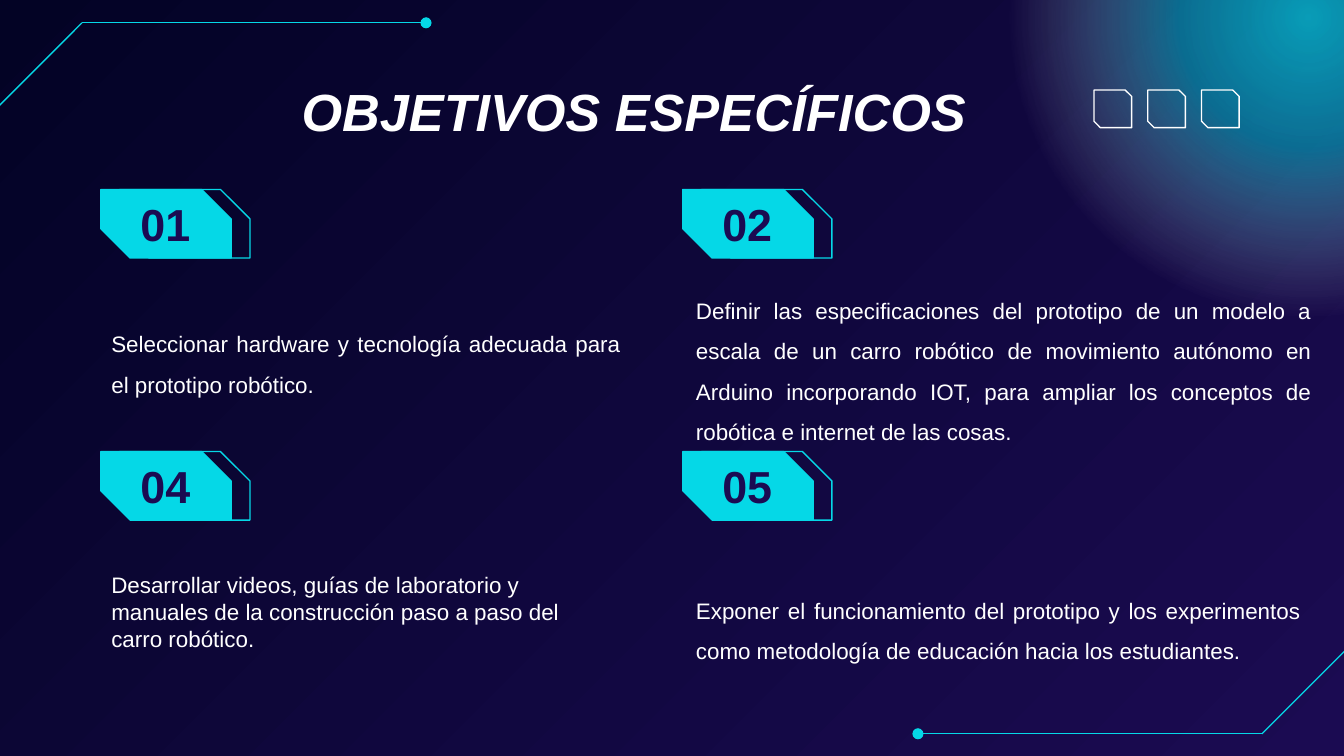
from pptx import Presentation
from pptx.dml.color import RGBColor
from pptx.enum.shapes import MSO_CONNECTOR, MSO_SHAPE
from pptx.enum.text import MSO_ANCHOR, PP_ALIGN
from pptx.oxml import parse_xml
from pptx.oxml.ns import nsdecls, qn
from pptx.oxml.xmlchemy import OxmlElement
from pptx.util import Inches, Pt

SNIP, OVAL = MSO_SHAPE.SNIP_2_DIAG_RECTANGLE, MSO_SHAPE.OVAL
STRAIGHT = MSO_CONNECTOR.STRAIGHT
TOP, MIDDLE = MSO_ANCHOR.TOP, MSO_ANCHOR.MIDDLE
LEFT, CENTER, JUSTIFY = PP_ALIGN.LEFT, PP_ALIGN.CENTER, PP_ALIGN.JUSTIFY

CYAN = RGBColor(0x05, 0xD8, 0xE7)
NIGHT = RGBColor(0x03, 0x03, 0x25)
PURPLE = RGBColor(0x1B, 0x0B, 0x52)
WHITE = RGBColor(0xFF, 0xFF, 0xFF)

FONT = "Arial"
WIDE = 10
HIGH = WIDE * 9 / 16
COLS = (0.75, 5.08)
ROWS = (1.41, 3.36)
SHIFT = 0.14  # step from the solid badge to its outline

# number, column, row, text box, alignment, line spacing, text
GOALS = (
    ("01", 0, 0, (-0.02, 0.85, 3.99, 0.81), JUSTIFY, 1.5,
     "Seleccionar hardware y tecnología adecuada para el prototipo robótico."),
    ("02", 1, 0, (0, 0.6, 4.78, 1.41), JUSTIFY, 1.5,
     "Definir las especificaciones del prototipo de un modelo a escala de un "
     "carro robótico de movimiento autónomo en Arduino incorporando IOT, para "
     "ampliar los conceptos de robótica e internet de las cosas."),
    ("04", 0, 1, (-0.02, 0.79, 3.92, 0.98), LEFT, 1,
     "Desarrollar videos, guías de laboratorio y manuales de la construcción "
     "paso a paso del carro robótico."),
    ("05", 1, 1, (0, 0.88, 4.7, 0.81), JUSTIFY, 1.5,
     "Exponer el funcionamiento del prototipo y los experimentos como "
     "metodología de educación hacia los estudiantes."),
)


def write(shape, text, size, color, align, anchor=TOP, bold=False, italic=False):
    frame = shape.text_frame
    frame.text = text
    frame.word_wrap = True
    frame.vertical_anchor = anchor
    frame.margin_left = frame.margin_right = Inches(0.1)
    frame.margin_top = frame.margin_bottom = Inches(0.1)
    para = frame.paragraphs[0]
    para.alignment = align
    font = para.runs[0].font
    font.name, font.size, font.color.rgb = FONT, Pt(size), color
    font.bold, font.italic = bold, italic
    return para


def add_text(slide, box, *args, **style):
    shape = slide.shapes.add_textbox(*map(Inches, box))
    return write(shape, *args, **style)


def add_snip(slide, box, cut, color, solid=False):
    shape = slide.shapes.add_shape(SNIP, *map(Inches, box))
    shape.adjustments[0], shape.adjustments[1] = 0, cut
    shape.shadow.inherit = False
    shape.line.color.rgb, shape.line.width = color, Pt(0.75)
    if solid:
        shape.fill.solid()
        shape.fill.fore_color.rgb = color
    else:
        shape.fill.background()


def add_line(slide, start, end, dot=False):
    line = slide.shapes.add_connector(STRAIGHT, *map(Inches, start + end))
    line.line.color.rgb, line.line.width = CYAN, Pt(0.75)
    if dot:
        tail = OxmlElement("a:tailEnd")
        tail.set("type", "oval")
        line.line._get_or_add_ln().append(tail)
    line._element.spPr.append(OxmlElement("a:effectLst"))


def add_trace(slide, x, y, way):
    """Corner trace from the slide edge; way is 1 or -1."""
    bend = (x + way * 0.63, y - way * 0.63)
    add_line(slide, (x, y), bend)
    add_line(slide, bend, (bend[0] + way * 2.56, bend[1]), dot=True)


def add_glow(slide, x, y, size):
    glow = slide.shapes.add_shape(OVAL, *map(Inches, (x, y, size, size)))
    glow.shadow.inherit = False
    glow.line.fill.background()
    glow.fill.gradient()
    stops = "".join(
        f'<a:gs pos="{pos * 1000}"><a:srgbClr val="{color}">'
        f'<a:alpha val="{alpha * 1000}"/></a:srgbClr></a:gs>'
        for pos, color, alpha in ((0, CYAN, 71), (30, CYAN, 48),
                                  (69, WHITE, 0), (100, WHITE, 0)))
    radial = parse_xml(
        f'<a:gradFill {nsdecls("a")} rotWithShape="1"><a:gsLst>{stops}</a:gsLst>'
        '<a:path path="circle"><a:fillToRect l="50000" t="50000" r="50000" '
        'b="50000"/></a:path></a:gradFill>')
    props = glow._element.spPr
    props.replace(props.find(qn("a:gradFill")), radial)


def add_backdrop(slide):
    fill = slide.background.fill
    fill.gradient()
    fill.gradient_angle = 315
    for stop, color, pos in zip(fill.gradient_stops, (NIGHT, PURPLE), (0, 1)):
        stop.color.rgb, stop.position = color, pos
    add_glow(slide, 7.45, -2.15, 4.56)
    add_trace(slide, -0.02, 0.8, 1)
    add_trace(slide, WIDE + 0.02, 4.83, -1)


def add_title(slide, box):
    title = slide.shapes.title
    title.left, title.top, title.width, title.height = map(Inches, box)
    write(title, "OBJETIVOS ESPECÍFICOS", 28, WHITE, CENTER, bold=True, italic=True)


def add_goal(slide, x, y, number, body, align, space, text):
    # Badge: outline behind, solid in front, number on top
    for step, solid in ((SHIFT, False), (0, True)):
        add_snip(slide, (x + step, y, 0.97, 0.51), 0.43, CYAN, solid)
    add_text(slide, (x + SHIFT, y - 0.05, 0.68, 0.61), number, 24, PURPLE,
             CENTER, anchor=MIDDLE, bold=True)
    # Description
    left, top, width, height = body
    para = add_text(slide, (x + left, y + top, width, height), text, 12, WHITE, align)
    para.line_spacing = space


def add_marks(slide, x, y, side, pitch):
    for i in range(3):
        add_snip(slide, (x + i * pitch, y, side, side), 0.17, WHITE)


def main():
    deck = Presentation()
    deck.slide_width, deck.slide_height = Inches(WIDE), Inches(HIGH)
    slide = deck.slides.add_slide(deck.slide_layouts[5])
    add_backdrop(slide)
    add_title(slide, (0.79, 0.49, 7.85, 0.67))
    for number, col, row, *rest in GOALS:
        add_goal(slide, COLS[col], ROWS[row], number, *rest)
    add_marks(slide, 8.14, 0.67, 0.28, 0.4)
    deck.save("out.pptx")


if __name__ == "__main__":
    main()
